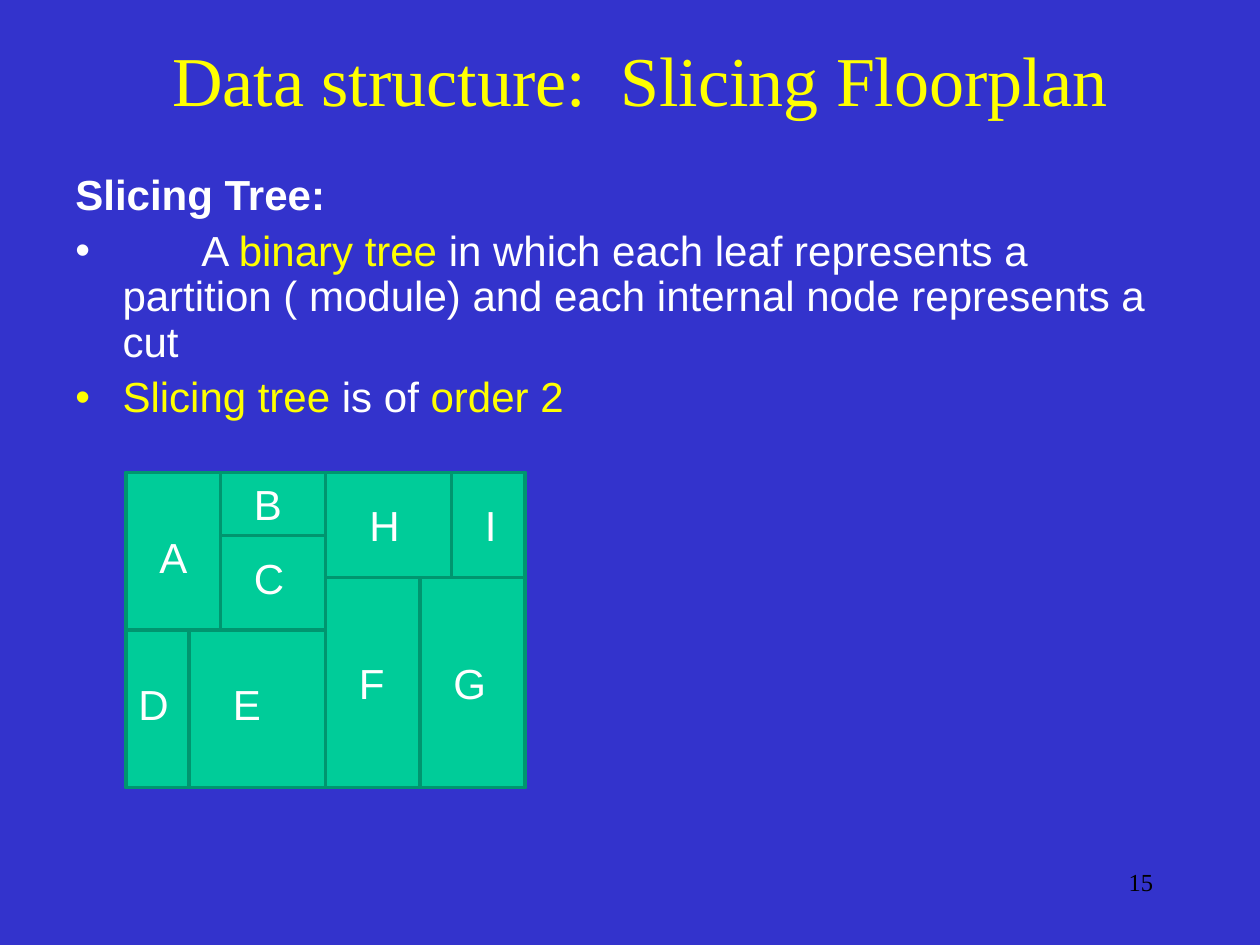
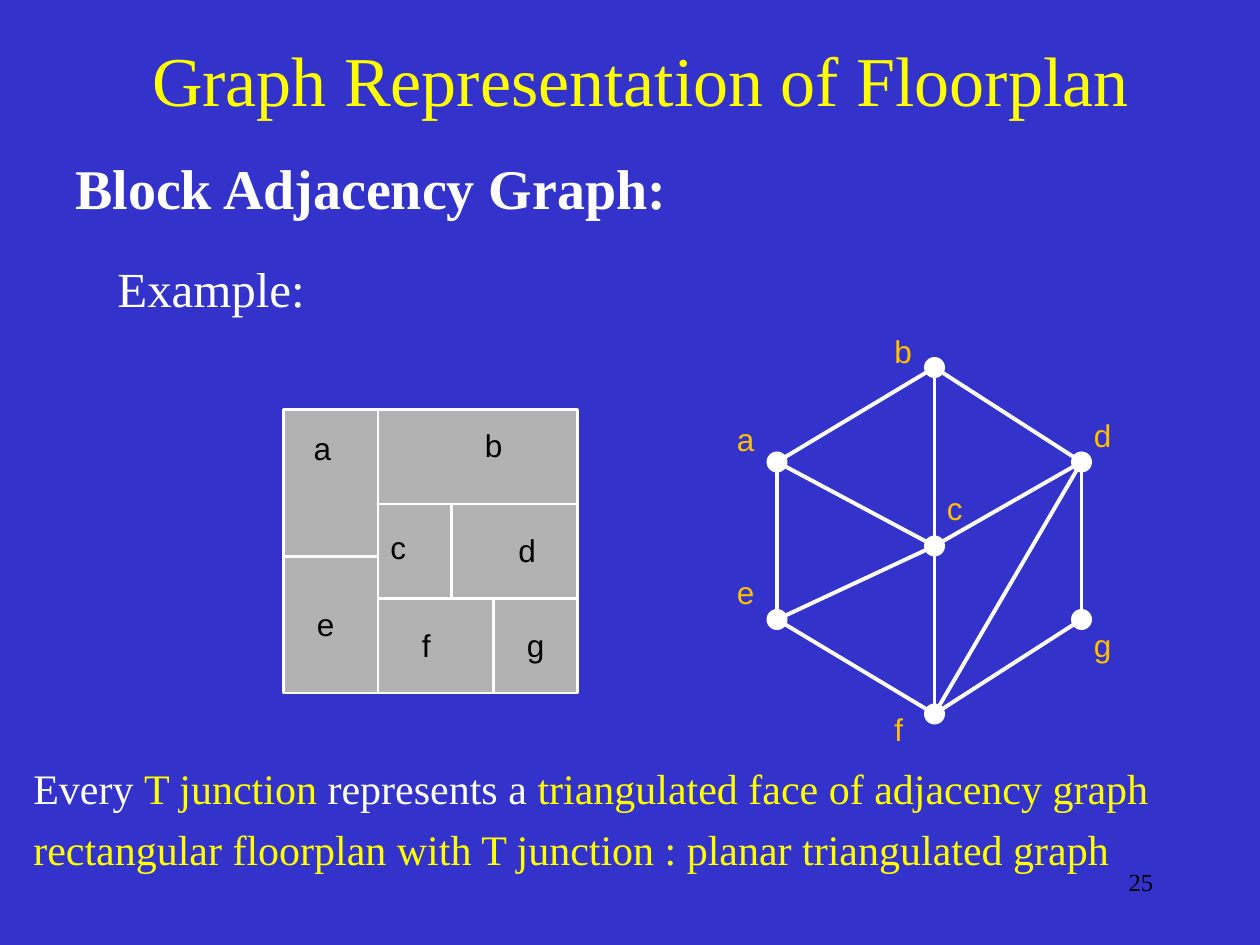
import math

import pptx
import pptx.dml.color
import pptx.enum.shapes
import pptx.enum.text
import pptx.oxml.ns
import pptx.util
from lxml import etree

Cm, Pt = pptx.util.Cm, pptx.util.Pt
qn = pptx.oxml.ns.qn
ALIGN = pptx.enum.text.PP_ALIGN
ANCHOR = pptx.enum.text.MSO_ANCHOR
SHAPE = pptx.enum.shapes.MSO_SHAPE

COLOURS = {
    "ground": "3333CC", "yellow": "FFFF00", "white": "FFFFFF", "black": "000000",
    "amber": "FFC000", "green": "00CC99", "dark green": "00956F", "grey": "B2B2B2",
}
SERIF, SANS = "Times New Roman", "Arial"
GRID = 2.54 / 12  # every position is counted in this step, in centimetres
INDENT = Cm(0.95)
TAB_STOP = Cm(2.54)


def grid(*steps):
    return [Cm(step * GRID) for step in steps]


def rgb(name):
    return pptx.dml.color.RGBColor.from_string(COLOURS[name])


class Deck:
    """Shared style and the slide being drawn."""

    def __init__(self):
        self.show = pptx.Presentation()
        self.show.slide_width, self.show.slide_height = Cm(25.4), Cm(19.05)
        self.slide = None

    def new_slide(self, title, number):
        self.slide = self.show.slides.add_slide(self.show.slide_layouts[6])
        fill = self.slide.background.fill
        fill.solid()
        fill.fore_color.rgb = rgb("ground")
        heading = self.frame(12, 2, 98, 11)
        heading.vertical_anchor = ANCHOR.MIDDLE
        self.paragraph(heading, [(title, "yellow")], 40, align=ALIGN.CENTER)
        self.paragraph(self.frame(86, 82, 25, 6), [(number, "black")], 14,
                       align=ALIGN.RIGHT)

    def frame(self, *box):
        frame = self.slide.shapes.add_textbox(*grid(*box)).text_frame
        frame.word_wrap = True
        return frame

    def paragraph(self, frame, parts, size, font=SERIF, bold=False, align=ALIGN.LEFT,
                  hanging=False, bullet=None, spacing=None, before=None):
        """Add a paragraph of (text, colour) parts; bullet is a colour name."""
        first = not frame.text
        paragraph = frame.paragraphs[0] if first else frame.add_paragraph()
        paragraph.alignment = align
        if hanging:
            self.hang(paragraph, bullet)
        if spacing:
            paragraph.line_spacing = spacing
        if before and not first:
            paragraph.space_before = Pt(before)
        paragraph.font.name, paragraph.font.size = font, Pt(size)
        paragraph.font.bold = bold
        for text, colour in parts:
            run = paragraph.add_run()
            run.text = text
            target = paragraph if len(parts) == 1 else run
            target.font.color.rgb = rgb(colour)

    def hang(self, paragraph, bullet):
        properties = paragraph._p.get_or_add_pPr()
        properties.set("marL", str(INDENT))
        properties.set("indent", str(-INDENT))
        if bullet:
            colour = etree.SubElement(properties, qn("a:buClr"))
            etree.SubElement(colour, qn("a:srgbClr"), val=COLOURS[bullet])
            etree.SubElement(properties, qn("a:buFont"), typeface=SANS)
            etree.SubElement(properties, qn("a:buChar"), char="•")
            tabs = etree.SubElement(properties, qn("a:tabLst"))
            etree.SubElement(tabs, qn("a:tab"), pos=str(TAB_STOP), algn="l")

    def label(self, text, left, top, size, colour):
        self.paragraph(self.frame(left, top, 5, size / 4), [(text, colour)], size, SANS)

    def shape(self, kind, box, fill, line=None, width=0):
        shape = self.slide.shapes.add_shape(kind, *grid(*box))
        shape.shadow.inherit = False
        shape.fill.solid()
        shape.fill.fore_color.rgb = rgb(fill)
        if line:
            shape.line.color.rgb = rgb(line)
            shape.line.width = Pt(width)
        else:
            shape.line.fill.background()

    def floorplan(self, blocks, size, ink, fill, line, width):
        """Draw blocks given as name: (box, label position)."""
        for box, _ in blocks.values():
            self.shape(SHAPE.RECTANGLE, box, fill, line, width)
        for name, (_, spot) in blocks.items():
            self.label(name, *spot, size, ink)

    def edge(self, start, end, colour, trim):
        """Join two node centres, stopping short of each by trim."""
        (x1, y1), (x2, y2) = start, end
        share = trim / math.dist(start, end)
        dx, dy = (x2 - x1) * share, (y2 - y1) * share
        line = self.slide.shapes.add_connector(
            pptx.enum.shapes.MSO_CONNECTOR.STRAIGHT,
            *grid(x1 + dx, y1 + dy, x2 - dx, y2 - dy))
        line.line.color.rgb = rgb(colour)
        line.line.width = Pt(2.25)
        etree.SubElement(line._element.spPr, qn("a:effectLst"))


def slicing_floorplan(deck):
    deck.new_slide("Data structure:  Slicing Floorplan", "15")

    # Definition of the slicing tree
    definition = deck.frame(6, 16, 105, 65)
    style = dict(size=24, font=SANS, hanging=True, spacing=0.9, before=6)
    deck.paragraph(definition, [("Slicing Tree:", "white")], bold=True, **style)
    deck.paragraph(definition, [
        ("\tA ", "white"), ("binary tree", "yellow"),
        (" in which each leaf represents a partition ( module) and each internal "
         "node represents a cut", "white")], bullet="white", **style)
    deck.paragraph(definition, [
        ("Slicing tree", "yellow"), (" is of ", "white"), ("order 2", "yellow")],
        bullet="yellow", **style)

    # Floorplan inside its outer frame
    look = ("green", "dark green", 2)
    deck.shape(SHAPE.RECTANGLE, (12, 45, 38, 30), *look)
    deck.floorplan({
        "A": ((12, 45, 9, 15), (14, 50)),
        "B": ((21, 45, 10, 6), (23, 45)),
        "C": ((21, 51, 10, 9), (23, 52)),
        "D": ((12, 60, 6, 15), (12, 64)),
        "E": ((18, 60, 13, 15), (21, 64)),
        "F": ((31, 55, 9, 20), (33, 62)),
        "G": ((40, 55, 10, 20), (42, 62)),
        "H": ((31, 45, 12, 10), (34, 47)),
        "I": ((43, 45, 7, 10), (45, 47)),
    }, 24, "white", *look)


def adjacency_graph(deck):
    deck.new_slide("Graph Representation of Floorplan", "25")
    deck.paragraph(deck.frame(6, 14, 108, 9), [("Block Adjacency Graph:", "white")], 32,
                   bold=True, hanging=True)
    deck.paragraph(deck.frame(10, 24, 21, 8), [("Example:", "white")], 28, hanging=True)

    # Floorplan
    deck.floorplan({
        "a": ((27, 39, 9, 14), (28.7, 40.3)),
        "b": ((36, 39, 19, 9), (45, 40)),
        "c": ((36, 48, 7, 9), (36, 49.7)),
        "d": ((43, 48, 12, 9), (48.2, 50)),
        "e": ((27, 53, 9, 13), (29, 57)),
        "f": ((36, 57, 11, 9), (39, 59)),
        "g": ((47, 57, 8, 9), (49, 59)),
    }, 18, "black", "grey", "white", 1.5)

    # Adjacency graph: node centre and label position
    nodes = {
        "a": ((74, 44), (69, 39.4)),
        "b": ((89, 35), (84, 31)),
        "c": ((89, 52), (89, 46)),
        "d": ((103, 44), (103, 39)),
        "e": ((74, 59), (69, 54)),
        "f": ((89, 68), (84, 67)),
        "g": ((103, 59), (103, 59)),
    }
    radius = 1
    for name, ((x, y), spot) in nodes.items():
        deck.shape(SHAPE.OVAL, (x - radius, y - radius, 2 * radius, 2 * radius), "white")
        deck.label(name, *spot, 18, "amber")
    for start, end in "ba bd bc ac ae ce cf cd fd dg ef fg".split():
        deck.edge(nodes[start][0], nodes[end][0], "white", 0.9 * radius)

    # Conclusion
    conclusion = deck.frame(2, 72, 120, 14)
    style = dict(size=24, hanging=True, before=6)
    deck.paragraph(conclusion, [
        ("Every ", "white"), ("T junction", "yellow"), (" represents a ", "white"),
        ("triangulated face of adjacency graph", "yellow")], **style)
    deck.paragraph(conclusion, [
        ("rectangular floorplan with T junction : planar triangulated graph", "yellow")],
        **style)


def main():
    deck = Deck()
    slicing_floorplan(deck)
    adjacency_graph(deck)
    deck.show.save("out.pptx")


if __name__ == "__main__":
    main()
